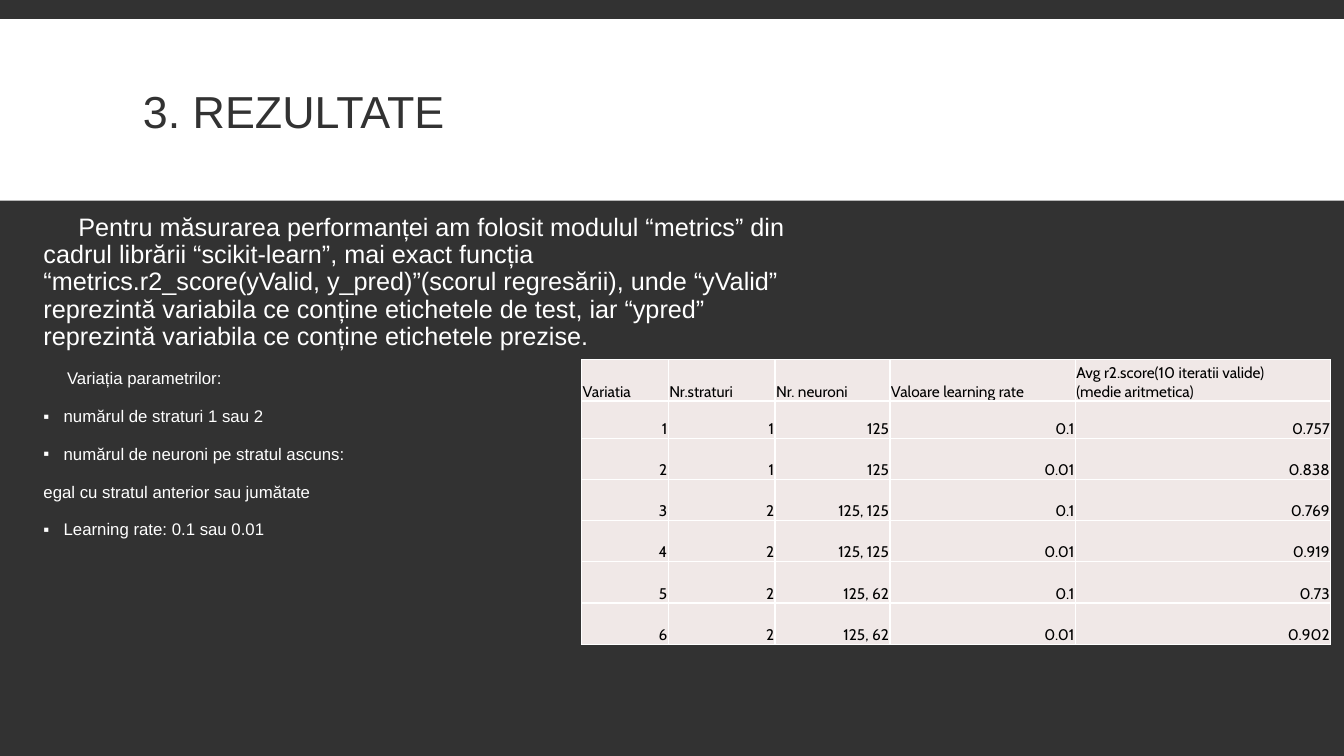
from lxml import etree
from pptx import Presentation
from pptx.dml.color import RGBColor
from pptx.enum.shapes import MSO_SHAPE
from pptx.enum.text import MSO_ANCHOR, PP_ALIGN
from pptx.oxml.ns import qn
from pptx.util import Inches, Pt

RECTANGLE = MSO_SHAPE.RECTANGLE
TOP, MIDDLE, BOTTOM = MSO_ANCHOR.TOP, MSO_ANCHOR.MIDDLE, MSO_ANCHOR.BOTTOM
LEFT, RIGHT = PP_ALIGN.LEFT, PP_ALIGN.RIGHT

# Slide grid
WIDTH, HEIGHT = Inches(13.33), Inches(7.5)
COLUMNS, ROWS = 40, 24

DARK, WHITE, BLACK, CELL = "323232", "FFFFFF", "000000", "F0E8E7"
BODY_FONT, TABLE_FONT = "Arial", "Cabin"

# Text, size, first-line indent in grid columns, bulleted
BODY = [
    ("Pentru măsurarea performanței am folosit modulul “metrics” din cadrul "
     "librării “scikit-learn”, mai exact funcția “metrics.r2_score(yValid, "
     "y_pred)”(scorul regresării), unde “yValid” reprezintă variabila ce "
     "conține etichetele de test, iar “ypred” reprezintă variabila ce conține "
     "etichetele prezise.", 18, 1.04, False),
    ("Variația parametrilor:", 12, 0.7, False),
    ("numărul de straturi 1 sau 2", 12, -0.6, True),
    ("numărul de neuroni pe stratul ascuns:", 12, -0.6, True),
    ("egal cu stratul anterior sau jumătate", 12, 0, False),
    ("Learning rate: 0.1 sau 0.01", 12, -0.6, True),
]

RESULTS = [
    ("Variatia", "Nr.straturi", "Nr. neuroni", "Valoare learning rate",
     "Avg r2.score(10 iteratii valide)\n(medie aritmetica)"),
    ("1", "1", "125", "0.1", "0.757"),
    ("2", "1", "125", "0.01", "0.838"),
    ("3", "2", "125, 125", "0.1", "0.769"),
    ("4", "2", "125, 125", "0.01", "0.919"),
    ("5", "2", "125, 62", "0.1", "0.73"),
    ("6", "2", "125, 62", "0.01", "0.902"),
]
RESULT_COLUMNS = [2.58, 3.18, 3.42, 5.52, 7.6]
RESULT_ROWS = [1.31, 1.18] + [1.31] * 5


def color(value):
    return RGBColor.from_string(value)


def across(columns):
    return round(WIDTH * columns / COLUMNS)


def down(rows):
    return round(HEIGHT * rows / ROWS)


def area(left, top, width, height):
    return across(left), down(top), across(width), down(height)


def add_run(paragraph, text, size, font, text_color):
    run = paragraph.add_run()
    run.text = text
    run.font.size = Pt(size)
    run.font.name = font
    run.font.color.rgb = color(text_color)


def add_band(slide, place, fill):
    band = slide.shapes.add_shape(RECTANGLE, *area(*place))
    band.shadow.inherit = False
    band.fill.solid()
    band.fill.fore_color.rgb = color(fill)
    band.line.fill.background()


def add_text_frame(slide, place, anchor):
    frame = slide.shapes.add_textbox(*area(*place)).text_frame
    frame.word_wrap = True
    frame.vertical_anchor = anchor
    return frame


def indent(paragraph, first_line, bulleted):
    properties = paragraph._p.get_or_add_pPr()
    properties.set("indent", str(across(first_line)))
    if bulleted:
        properties.set("marL", str(across(-first_line)))
        bullet_color = etree.SubElement(properties, qn("a:buClr"))
        etree.SubElement(bullet_color, qn("a:srgbClr"), val=WHITE)
        etree.SubElement(properties, qn("a:buFont"), typeface=BODY_FONT)
        etree.SubElement(properties, qn("a:buChar"), char="▪")


def add_title(slide, place, text):
    paragraph = add_text_frame(slide, place, MIDDLE).paragraphs[0]
    paragraph.line_spacing = 0.85
    add_run(paragraph, text, 32, BODY_FONT, DARK)


def add_body(slide, place, items):
    frame = add_text_frame(slide, place, TOP)
    for index, (text, size, first_line, bulleted) in enumerate(items):
        paragraph = frame.add_paragraph() if index else frame.paragraphs[0]
        paragraph.line_spacing = 0.9
        paragraph.space_before = Pt(12)
        paragraph.space_after = Pt(2)
        indent(paragraph, first_line, bulleted)
        add_run(paragraph, text, size, BODY_FONT, WHITE)


def style_cell(cell):
    properties = cell._tc.get_or_add_tcPr()
    # Borders come before the fill in the cell's properties
    for side in ("lnL", "lnR", "lnT", "lnB"):
        line = etree.SubElement(properties, qn(f"a:{side}"), w=str(Pt(1)))
        line_fill = etree.SubElement(line, qn("a:solidFill"))
        etree.SubElement(line_fill, qn("a:srgbClr"), val=WHITE)
    cell.fill.solid()
    cell.fill.fore_color.rgb = color(CELL)
    cell.vertical_anchor = BOTTOM
    cell.margin_left = cell.margin_right = cell.margin_top = Inches(0.01)
    cell.margin_bottom = 0


def add_results(slide, left, top):
    place = area(left, top, sum(RESULT_COLUMNS), sum(RESULT_ROWS))
    table = slide.shapes.add_table(
        len(RESULT_ROWS), len(RESULT_COLUMNS), *place).table
    table.first_row = table.horz_banding = False
    for column, width in zip(table.columns, RESULT_COLUMNS):
        column.width = across(width)
    for row, height in zip(table.rows, RESULT_ROWS):
        row.height = down(height)
    for row_index, values in enumerate(RESULTS):
        for column_index, value in enumerate(values):
            cell = table.cell(row_index, column_index)
            style_cell(cell)
            frame = cell.text_frame
            for index, text in enumerate(value.split("\n")):
                paragraph = frame.add_paragraph() if index else frame.paragraphs[0]
                paragraph.alignment = RIGHT if row_index else LEFT
                add_run(paragraph, text, 11, TABLE_FONT, BLACK)


def main():
    presentation = Presentation()
    presentation.slide_width, presentation.slide_height = WIDTH, HEIGHT
    slide = presentation.slides.add_slide(presentation.slide_layouts[6])
    slide.background.fill.solid()
    slide.background.fill.fore_color.rgb = color(DARK)

    # Title band
    add_band(slide, (0, 0.61, COLUMNS, 5.76), WHITE)
    add_title(slide, (3.96, 1, 32.1, 5.28), "3. REZULTATE")

    # Explanation and results
    add_body(slide, (1, 6.66, 23.55, 15.33), BODY)
    add_results(slide, 17.31, 11.42)

    presentation.save("out.pptx")


if __name__ == "__main__":
    main()
